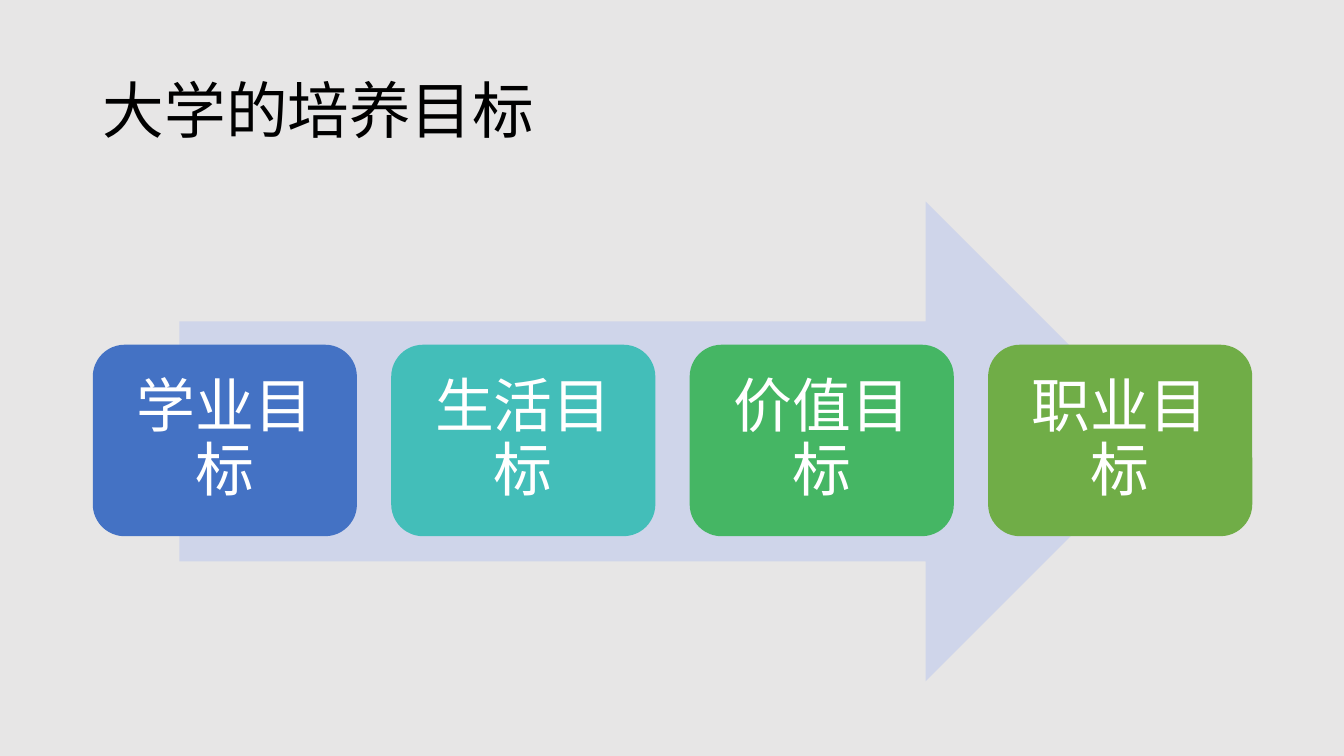
from pptx import Presentation
from pptx import util as u
from pptx.dml.color import RGBColor
from pptx.enum import shapes, text

COLORS = {
    "background": "E7E6E6",
    "title": "000000",
    "arrow": "CFD5EA",
    "label": "FFFFFF",
    "study": "4472C4",
    "life": "43BEB9",
    "values": "45B664",
    "career": "70AD47",
}
GOALS = [
    ("学业目标", "study"),
    ("生活目标", "life"),
    ("价值目标", "values"),
    ("职业目标", "career"),
]
CARD_LEFT, CARD_TOP, CARD_WIDTH, CARD_HEIGHT = 0.92, 3.42, 2.62, 1.9
CARD_STEP = 2.96


class GoalSlide:
    font_name = "Calibri"

    def __init__(self, prs):
        self.s = prs.slides.add_slide(prs.slide_layouts[5])
        self.paint(self.s.background.fill, "background")

    def paint(self, fill, color):
        fill.solid()
        fill.fore_color.rgb = RGBColor.from_string(COLORS[color])

    def set_text(self, sp, content, size, color, align):
        tf = sp.text_frame
        tf.text = content
        tf.word_wrap = True
        tf.auto_size = text.MSO_AUTO_SIZE.NONE
        tf.vertical_anchor = text.MSO_ANCHOR.MIDDLE
        p = tf.paragraphs[0]
        p.alignment = align
        p.line_spacing = 0.9
        p.font.name = self.font_name
        p.font.size = u.Pt(size)
        p.font.color.rgb = RGBColor.from_string(COLORS[color])
        return tf

    def title(self, content, *box):
        sp = self.s.shapes.title
        sp.left, sp.top, sp.width, sp.height = map(u.Inches, box)
        self.set_text(sp, content, 44, "title", text.PP_ALIGN.LEFT)

    def shape(self, kind, color, *box):
        sp = self.s.shapes.add_shape(kind, *map(u.Inches, box))
        sp.shadow.inherit = False
        self.paint(sp.fill, color)
        sp.line.fill.background()
        return sp

    def card(self, content, color, *box):
        sp = self.shape(shapes.MSO_SHAPE.ROUNDED_RECTANGLE, color, *box)
        tf = self.set_text(sp, content, 42, "label", text.PP_ALIGN.CENTER)
        tf.margin_left = tf.margin_right = u.Inches(0.17)
        tf.margin_top = tf.margin_bottom = u.Inches(0.17)
        tf.paragraphs[0].space_after = u.Pt(14.7)


def main():
    prs = Presentation()
    prs.slide_width, prs.slide_height = u.Inches(13.33), u.Inches(7.5)
    slide = GoalSlide(prs)
    slide.title("大学的培养目标", 0.92, 0.4, 11.5, 1.45)
    slide.shape(shapes.MSO_SHAPE.RIGHT_ARROW, "arrow", 1.78, 2, 9.78, 4.76)
    for i, (goal, color) in enumerate(GOALS):
        slide.card(goal, color, CARD_LEFT + i * CARD_STEP, CARD_TOP,
                   CARD_WIDTH, CARD_HEIGHT)
    prs.save("out.pptx")


if __name__ == "__main__":
    main()
